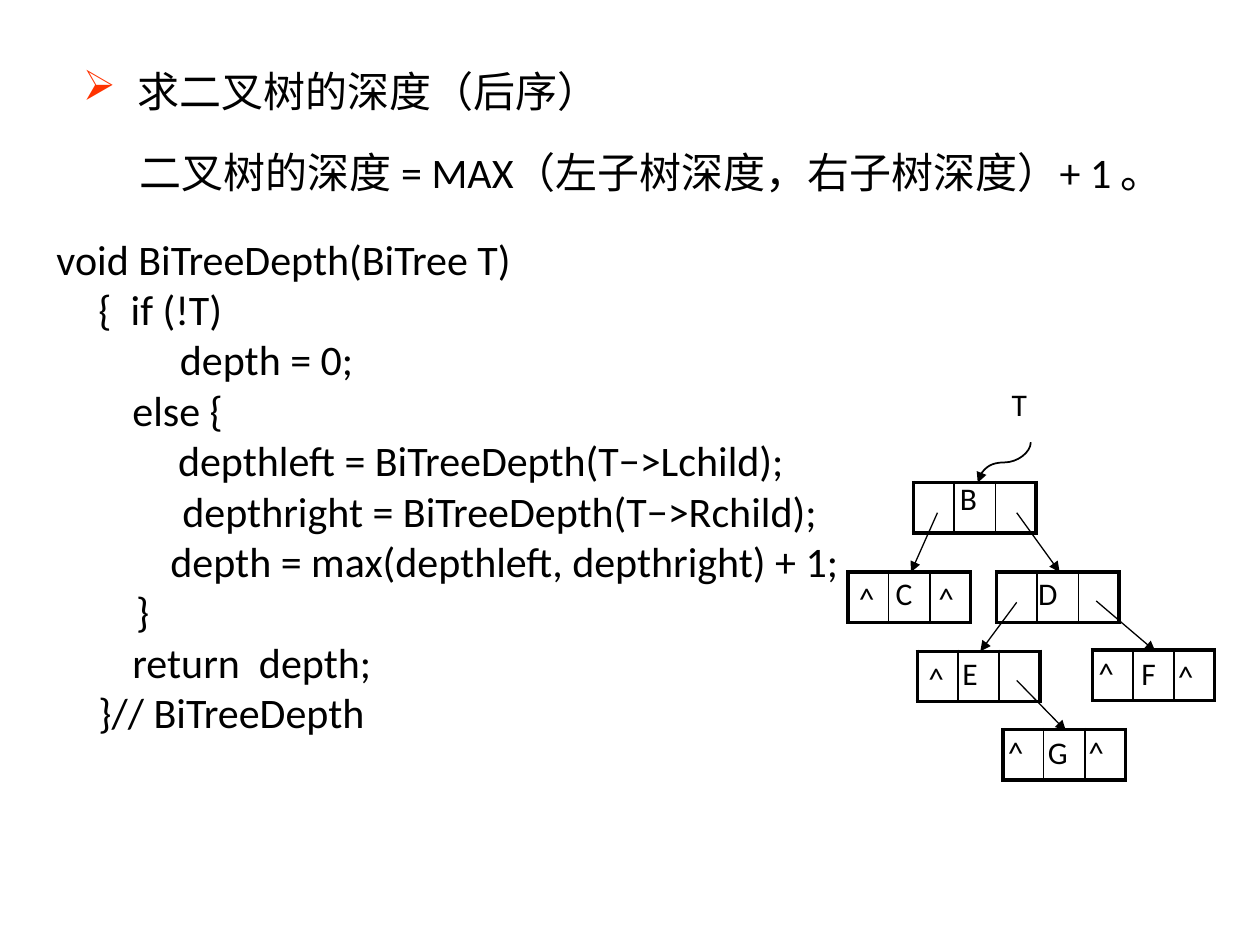
"""Builds a slide on computing the depth of a binary tree by post-order traversal."""
from lxml import etree
from pptx import Presentation
from pptx.dml.color import RGBColor
from pptx.enum.shapes import MSO_CONNECTOR
from pptx.oxml.ns import qn
from pptx.util import Pt

STRAIGHT, CURVE = MSO_CONNECTOR.STRAIGHT, MSO_CONNECTOR.CURVE
COLORS = {"ink": "000000", "bullet": "FF3300"}
LATIN, CHINESE = "Calibri", "Noto Sans CJK SC"

TITLE = "求二叉树的深度（后序）"
FORMULA = "二叉树的深度 = MAX（左子树深度，右子树深度）+ 1 。"
CODE = [
    "void BiTreeDepth(BiTree T)",
    "　{  if (!T)",
    "             depth = 0;",
    "        else {",
    "    　　depthleft = BiTreeDepth(T−>Lchild);",
    "　　　depthright = BiTreeDepth(T−>Rchild);",
    "            depth = max(depthleft, depthright) + 1;",
    "    　}",
    "        return  depth;",
    "　}// BiTreeDepth",
]
NODES = [(522, 275.8), (484.6, 326.9), (569.5, 326.9),
         (524.2, 372.2), (624.2, 371.5), (573.1, 416.9)]
LABELS = [
    ("T", 571, 216.7), ("B", 541.4, 270), ("C", 504.7, 324.7),
    ("D", 586.1, 324.7), ("E", 542.9, 370.1), ("F", 645.1, 370.1),
    ("G", 591.8, 415.4),
    ("^", 483.8, 327.6), ("^", 529.2, 327.6), ("^", 523.4, 373),
    ("^", 620.6, 370.1), ("^", 666, 372.2),
    ("^", 568.8, 415.4), ("^", 614.9, 415.4),
]
LINKS = [
    (535.7, 293, 520.6, 326.9), (581, 293, 605.5, 326.9),
    (581, 344.2, 560.2, 372.2), (626.4, 343.4, 660.2, 372.2),
    (581, 388.8, 609.1, 417.6),
]
ROOT_POINTER = (589, 252.7, 558.7, 275.8)
CELL_WIDTHS, CELL_HEIGHT = (23.2, 23.6, 23.2), 28.8
THICK, THIN = 2.25, 1


def add_text(page, lines, left, top, width, height, size, font=LATIN, indent=0):
    box = page.shapes.add_textbox(Pt(left), Pt(top), Pt(width), Pt(height))
    box.text_frame.word_wrap = True
    for index, line in enumerate(lines):
        para = box.text_frame.paragraphs[0] if index == 0 else box.text_frame.add_paragraph()
        if indent:
            para._p.get_or_add_pPr().set("marL", str(Pt(indent)))
        span = para.add_run()
        span.text = line
        span.font.size = Pt(size)
        span.font.name = font
        span.font.color.rgb = RGBColor.from_string(COLORS["ink"])
        etree.SubElement(span._r.get_or_add_rPr(), qn("a:ea")).set("typeface", CHINESE)
    return box


def add_bullet(para, indent):
    properties = para._p.get_or_add_pPr()
    properties.set("indent", str(Pt(-indent)))
    color = etree.SubElement(properties, qn("a:buClr"))
    etree.SubElement(color, qn("a:srgbClr")).set("val", COLORS["bullet"])
    etree.SubElement(properties, qn("a:buChar")).set("char", "➢")


def set_borders(cell, widths):
    properties = cell._tc.get_or_add_tcPr()
    for index, (side, width) in enumerate(zip("LRTB", widths)):
        border = etree.Element(qn("a:ln" + side), w=str(Pt(width)))
        fill = etree.SubElement(border, qn("a:solidFill"))
        etree.SubElement(fill, qn("a:srgbClr")).set("val", COLORS["ink"])
        properties.insert(index, border)


def add_node(page, left, top):
    table = page.shapes.add_table(1, len(CELL_WIDTHS), Pt(left), Pt(top),
                                  Pt(sum(CELL_WIDTHS)), Pt(CELL_HEIGHT)).table
    table.first_row = table.horz_banding = False
    last = len(CELL_WIDTHS) - 1
    for index, width in enumerate(CELL_WIDTHS):
        table.columns[index].width = Pt(width)
        cell = table.cell(0, index)
        cell.margin_top = cell.margin_bottom = 0
        cell.fill.background()
        set_borders(cell, (THICK if index == 0 else THIN,
                           THICK if index == last else THIN, THICK, THICK))


def add_arrow(page, ends, kind=STRAIGHT, width=0.75):
    arrow = page.shapes.add_connector(kind, *map(Pt, ends))
    arrow.line.width = Pt(width)
    arrow.line.color.rgb = RGBColor.from_string(COLORS["ink"])
    etree.SubElement(arrow.line._get_or_add_ln(), qn("a:tailEnd")).set("type", "triangle")
    etree.SubElement(arrow._element.spPr, qn("a:effectLst"))
    return arrow


def add_root_pointer(page, x1, y1, x2, y2):
    center_x, center_y = (x1 + x2) / 2, (y1 + y2) / 2
    half_width, half_height = abs(y2 - y1) / 2, abs(x2 - x1) / 2
    arrow = add_arrow(page, (center_x - half_width, center_y - half_height,
                             center_x + half_width, center_y + half_height), CURVE, 1)
    arrow._element.spPr.find(qn("a:xfrm")).set("rot", str(90 * 60000))


def main():
    deck = Presentation()
    deck.slide_width, deck.slide_height = Pt(720), Pt(540)
    page = deck.slides.add_slide(deck.slide_layouts[6])
    title = add_text(page, [TITLE], 40.3, 33.8, 321, 36, 24, CHINESE, 31)
    add_bullet(title.text_frame.paragraphs[0], 31)
    add_text(page, [FORMULA], 40.3, 79.9, 659.5, 36, 24, indent=32.5)
    add_text(page, CODE, 25.2, 129.6, 471, 298, 24)
    for node in NODES:
        add_node(page, *node)
    for link in LINKS:
        add_arrow(page, link)
    for label, left, top in LABELS:
        add_text(page, [label], left, top, 36, 36, 18)
    add_root_pointer(page, *ROOT_POINTER)
    deck.save("out.pptx")


if __name__ == "__main__":
    main()
